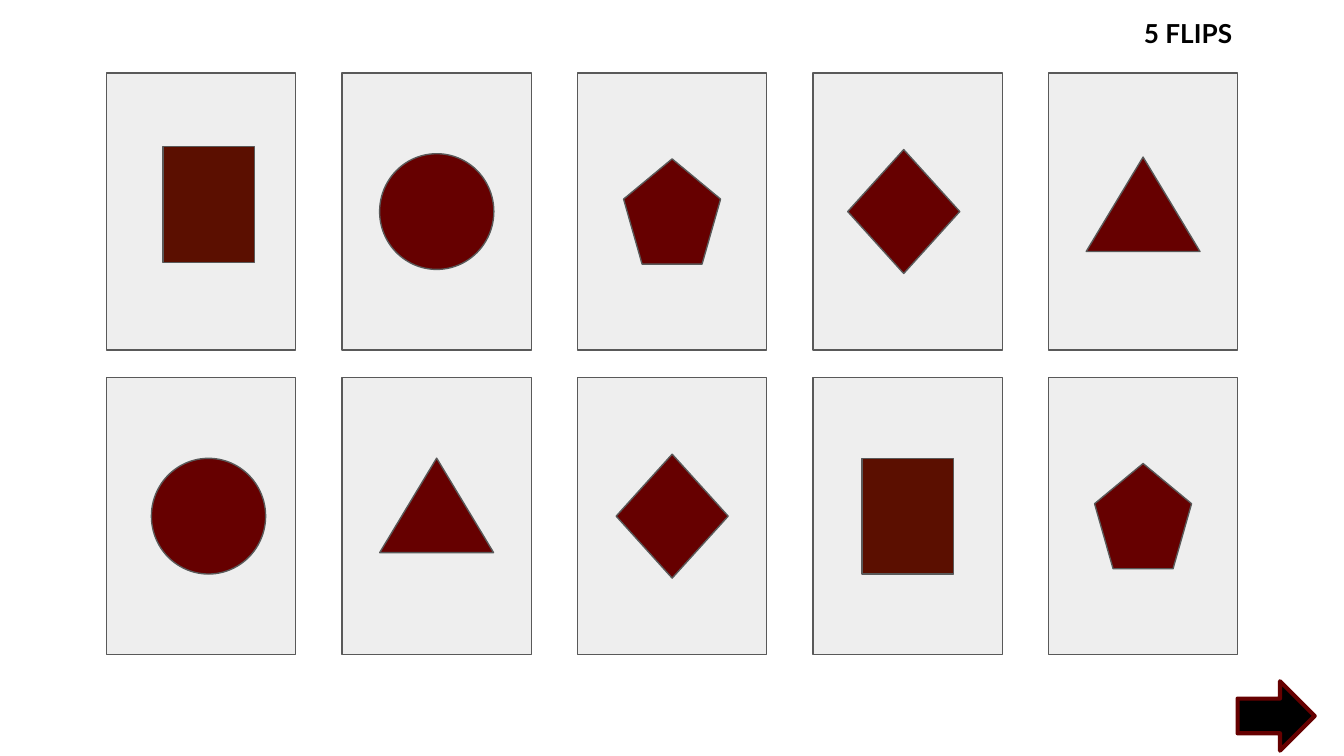
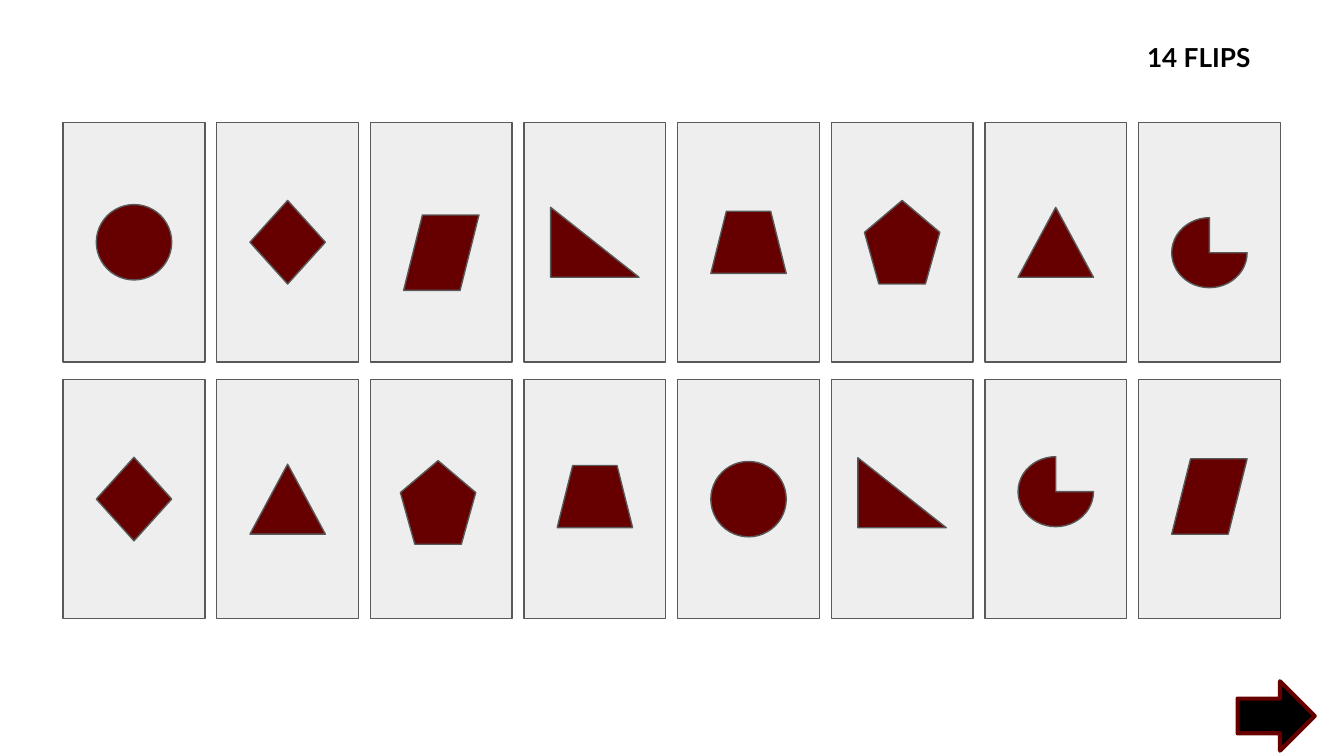
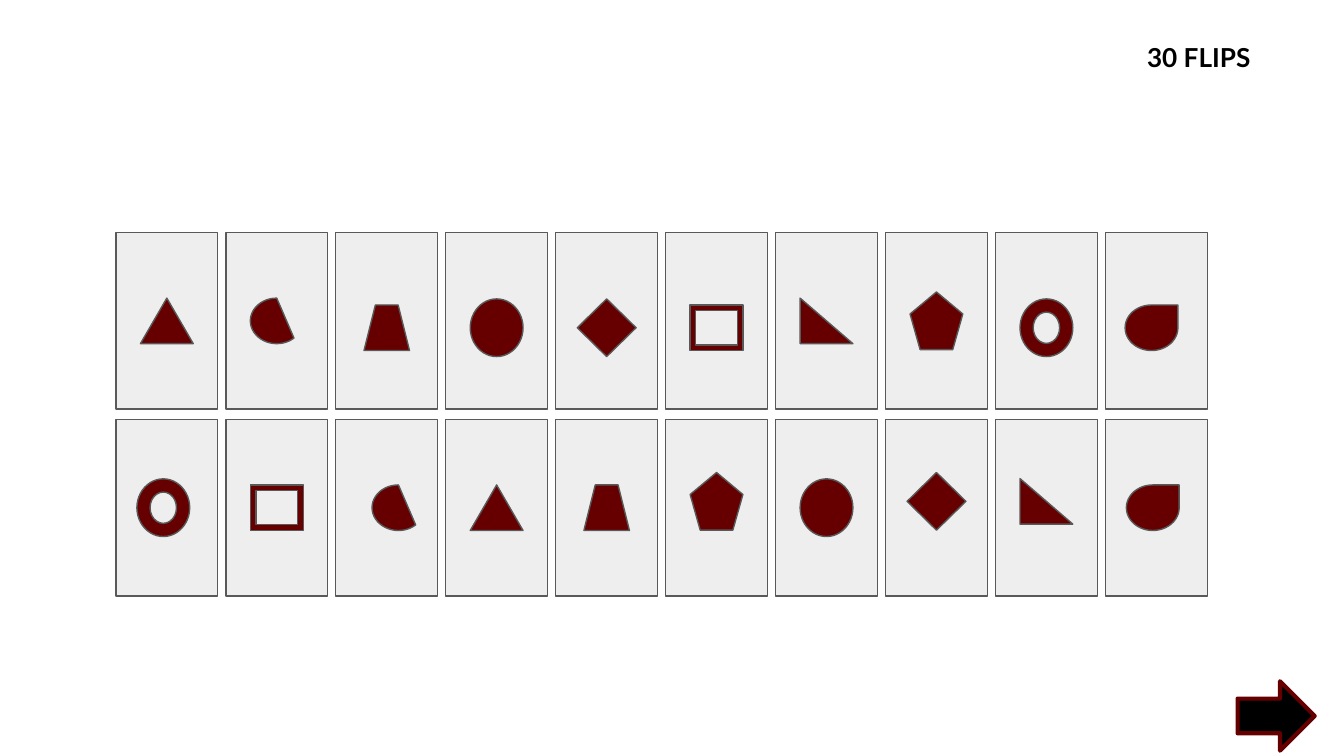
from pptx import Presentation
from pptx.dml.color import RGBColor
from pptx.enum.shapes import MSO_SHAPE
from pptx.enum.text import MSO_ANCHOR, MSO_AUTO_SIZE, PP_ALIGN
from pptx.util import Pt

COLORS = {
    "card": "EEEEEE",
    "outline": "595959",
    "symbol": "660000",
    "square": "5B0F00",
    "black": "000000",
}
FONT = "Lato"

SYMBOLS = {
    "square": MSO_SHAPE.RECTANGLE,
    "circle": MSO_SHAPE.OVAL,
    "triangle": MSO_SHAPE.ISOSCELES_TRIANGLE,
    "right triangle": MSO_SHAPE.RIGHT_TRIANGLE,
    "pentagon": MSO_SHAPE.REGULAR_PENTAGON,
    "diamond": MSO_SHAPE.DIAMOND,
    "parallelogram": MSO_SHAPE.PARALLELOGRAM,
    "trapezoid": MSO_SHAPE.TRAPEZOID,
    "pie": MSO_SHAPE.PIE,
    "frame": MSO_SHAPE.FRAME,
    "chord": MSO_SHAPE.CHORD,
    "donut": MSO_SHAPE.DONUT,
    "teardrop": MSO_SHAPE.TEAR,
}

BOARDS = [
    {
        "title": "5 FLIPS", "title_at": (558.7, 2.2),
        "origin": (57.1, 39.2), "pitch": (126.15, 163.2), "card": (101.4, 148.3),
        "sizes": {"square": (49, 62), "circle": (61.2, 62), "triangle": (61, 50.6),
                  "pentagon": (52, 56.4), "diamond": (60, 66.4)},
        "rows": [
            ["square", "circle", "pentagon", "diamond", "triangle"],
            ["circle", "triangle", "diamond", "square", "pentagon"],
        ],
        "nudges": {(0, 0): (4, -3.8), (0, 3): (-2.1, 0), (0, 4): (0, -3.9),
                   (1, 0): (3.9, 0), (1, 1): (0, -5.8)},
    },
    {
        "title": "14 FLIPS", "title_at": (564.5, 15.1),
        "origin": (33.8, 65.7), "pitch": (82.3, 137.6), "card": (76, 128.2),
        "sizes": {"circle": (40.4, 40.4), "triangle": (40.4, 37.5),
                  "right triangle": (47.4, 37.5), "pentagon": (40.4, 44.8),
                  "diamond": (40.4, 44.8), "parallelogram": (40.4, 40.4),
                  "trapezoid": (40.4, 33.3), "pie": (40.4, 37.5)},
        "rows": [
            ["circle", "diamond", "parallelogram", "right triangle",
             "trapezoid", "pentagon", "triangle", "pie"],
            ["diamond", "triangle", "pentagon", "trapezoid",
             "circle", "right triangle", "pie", "parallelogram"],
        ],
        "nudges": {(0, 2): (0, 5.6), (0, 7): (0, 5.6), (1, 2): (-1.7, 1.8),
                   (1, 3): (0, -1.4), (1, 5): (0, -3.4), (1, 6): (0, -4),
                   (1, 7): (0, -1.4)},
    },
    {
        "title": "30 FLIPS", "title_at": (564.5, 15.1),
        "origin": (62.1, 124.6), "pitch": (58.9, 100.1), "card": (54.6, 94.6),
        "sizes": {"circle": (28.3, 30.9), "triangle": (28.3, 24.4),
                  "right triangle": (28.3, 24.4), "pentagon": (28.3, 30.9),
                  "diamond": (31.5, 30.9), "trapezoid": (24.4, 24.4),
                  "frame": (28.3, 24.4), "chord": (28.3, 24.4),
                  "donut": (28.3, 30.9), "teardrop": (28.3, 24.4)},
        "rows": [
            ["triangle", "chord", "trapezoid", "circle", "diamond",
             "frame", "right triangle", "pentagon", "donut", "teardrop"],
            ["donut", "frame", "chord", "triangle", "trapezoid",
             "pentagon", "circle", "diamond", "right triangle", "teardrop"],
        ],
        "nudges": {**{(0, col): (0, 3.7) for col in (2, 3, 4, 5, 8)},
                   **{(1, col): (0, -3.4) for col in (5, 7, 8)},
                   (0, 9): (-2.6, 3.7), (1, 0): (-1.9, 0),
                   (1, 2): (6.3, 0), (1, 9): (-1.9, 0)},
    },
]


class Deck:
    """Holds the shared style and the slide being drawn."""

    def __init__(self):
        """Start an empty widescreen presentation."""
        self.prs = Presentation()
        self.prs.slide_width, self.prs.slide_height = Pt(720), Pt(405)
        self.s = None

    def slide(self):
        """Add a slide with only a title."""
        self.s = self.prs.slides.add_slide(self.prs.slide_layouts[5])

    def title(self, text, left, top):
        """Place the flip count in the title placeholder."""
        sp = self.s.shapes.title
        sp.left, sp.top, sp.width, sp.height = Pt(left), Pt(top), Pt(155.5), Pt(37.4)
        tf = sp.text_frame
        tf.text = text
        tf.word_wrap = True
        tf.auto_size = MSO_AUTO_SIZE.NONE
        tf.vertical_anchor = MSO_ANCHOR.TOP
        tf.margin_left = tf.margin_right = tf.margin_top = tf.margin_bottom = Pt(7.2)
        p = tf.paragraphs[0]
        p.alignment = PP_ALIGN.CENTER
        font = p.runs[0].font
        font.name, font.size, font.bold = FONT, Pt(14), True
        font.color.rgb = RGBColor.from_string(COLORS["black"])

    def shape(self, kind, left, top, width, height, fill, line="outline", weight=0.75):
        """Draw a filled and outlined preset shape."""
        sp = self.s.shapes.add_shape(kind, Pt(left), Pt(top), Pt(width), Pt(height))
        sp.shadow.inherit = False
        sp.fill.solid()
        sp.fill.fore_color.rgb = RGBColor.from_string(COLORS[fill])
        sp.line.color.rgb = RGBColor.from_string(COLORS[line])
        sp.line.width = Pt(weight)

    def card(self, name, left, top, size, symbol_size, nudge):
        """Draw a card with its symbol centred and then nudged."""
        self.shape(MSO_SHAPE.RECTANGLE, left, top, *size, "card")
        x, y = (start + (outer - inner) / 2 + shift for start, outer, inner, shift
                in zip((left, top), size, symbol_size, nudge))
        fill = "square" if name == "square" else "symbol"
        self.shape(SYMBOLS[name], x, y, *symbol_size, fill)

    def next_arrow(self):
        """Draw the arrow in the lower right corner."""
        self.shape(MSO_SHAPE.RIGHT_ARROW, 663, 365, 41.3, 37.2, "black", "symbol", 2.25)

    def board(self, board):
        """Build one slide with its grid of cards."""
        self.slide()
        self.title(board["title"], *board["title_at"])
        (left, top), (dx, dy) = board["origin"], board["pitch"]
        for row, names in enumerate(board["rows"]):
            for col, name in enumerate(names):
                self.card(name, left + col * dx, top + row * dy, board["card"],
                          board["sizes"][name], board["nudges"].get((row, col), (0, 0)))
        self.next_arrow()


def main():
    """Build every board and save the presentation."""
    deck = Deck()
    for board in BOARDS:
        deck.board(board)
    deck.prs.save("out.pptx")


if __name__ == "__main__":
    main()
